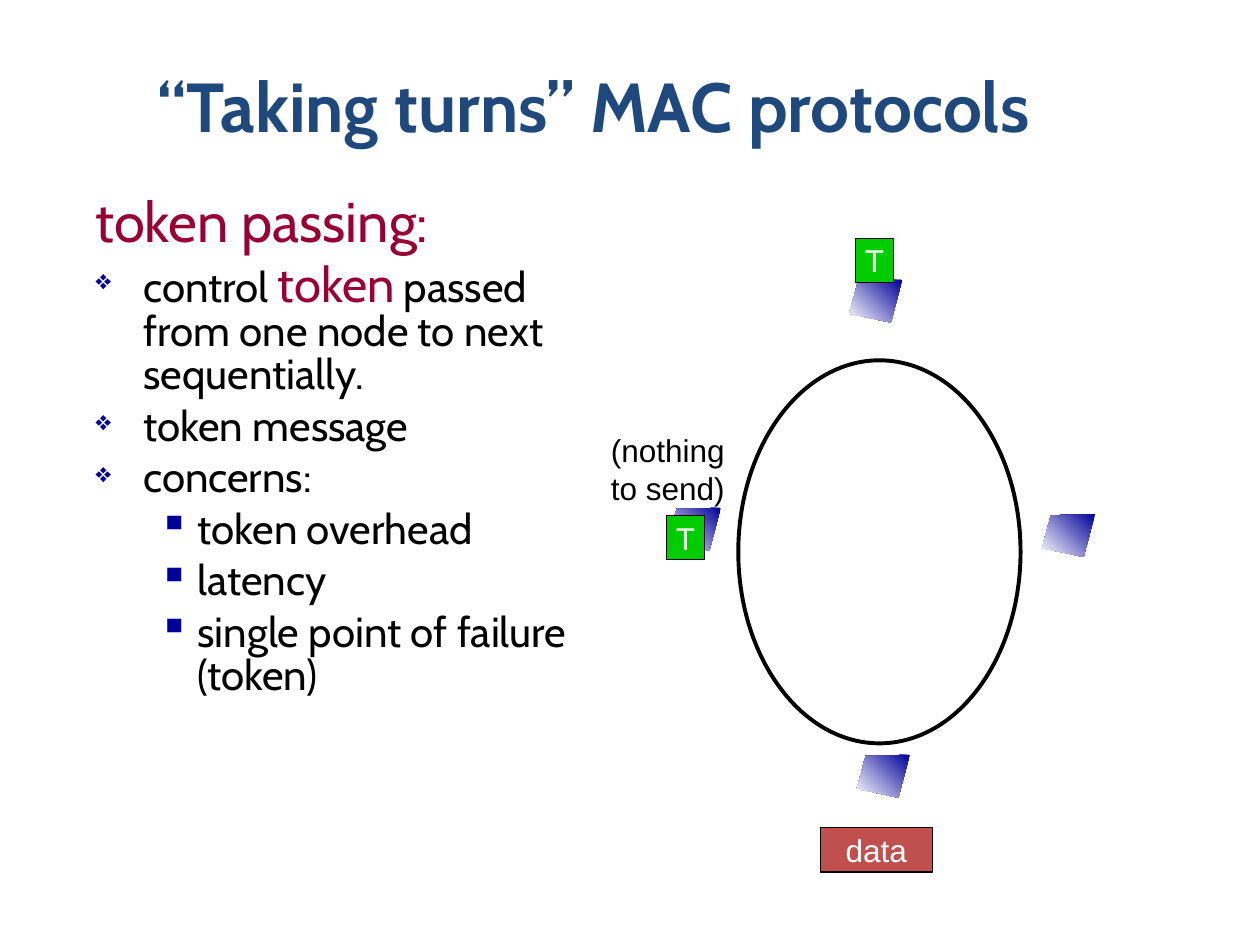
import lxml.etree
import pptx
import pptx.dml.color
import pptx.enum.shapes
import pptx.enum.text
import pptx.oxml.ns
import pptx.util

Inches = pptx.util.Inches
Pt = pptx.util.Pt
MSO_SHAPE = pptx.enum.shapes.MSO_SHAPE
PP_ALIGN = pptx.enum.text.PP_ALIGN
MSO_ANCHOR = pptx.enum.text.MSO_ANCHOR

COLORS = {
    "title": "1F497D",
    "accent": "990033",
    "bullet": "000099",
    "node": "000099",
    "token": "00CC00",
    "data": "C0504D",
    "black": "000000",
    "white": "FFFFFF",
}
NODE_CORNERS = [(0.42, 0), (0.07, 0.01), (0, 0.27), (0.33, 0.34)]
NODE_PLACES = [(8.27, 4.08), (5.3, 4.03), (6.74, 2.22), (6.8, 5.99)]

# Each level: left margin, hanging indent, bullet character, bullet size in percent
LEVELS = {
    "heading": (0.38, 0.38, None, None),
    "point": (0.38, 0.38, "❖", 65),
    "subpoint": (0.81, 0.31, "▪", 100),
}
# Each outline line: level, spans of (text, size, color)
OUTLINE = [
    ("heading", [("token passing:", 32, "accent")]),
    ("point", [("control ", 24, "black"), ("token", 28, "accent"),
               (" passed from one node to next sequentially.", 24, "black")]),
    ("point", [("token message", 24, "black")]),
    ("point", [("concerns:", 24, "black")]),
    ("subpoint", [("token overhead", 24, "black")]),
    ("subpoint", [("latency", 24, "black")]),
    ("subpoint", [("single point of failure (token)", 24, "black")]),
]


def rgb(name):
    return pptx.dml.color.RGBColor.from_string(COLORS[name])


def style_span(span, size, color, font="Arial", bold=False):
    span.font.name = font
    span.font.size = Pt(size)
    span.font.bold = bold
    span.font.color.rgb = rgb(color)


def add_text_box(page, left, top, width, height, wrap=True):
    box = page.shapes.add_textbox(Inches(left), Inches(top), Inches(width), Inches(height))
    box.text_frame.word_wrap = wrap
    return box


def add_title(page, text):
    frame = add_text_box(page, 0.46, 0.21, 8.5, 1.25).text_frame
    frame.vertical_anchor = MSO_ANCHOR.MIDDLE
    frame.text = text
    para = frame.paragraphs[0]
    para.alignment = PP_ALIGN.CENTER
    style_span(para.runs[0], 39.6, "title", "Cabin", True)


def set_level(para, level):
    """Give a paragraph the indents and the bullet of its outline level."""
    margin, hanging, character, percent = LEVELS[level]
    properties = para._p.get_or_add_pPr()
    properties.set("marL", str(Inches(margin)))
    properties.set("indent", str(-Inches(hanging)))
    if character:
        qn = pptx.oxml.ns.qn
        color = lxml.etree.SubElement(properties, qn("a:buClr"))
        lxml.etree.SubElement(color, qn("a:srgbClr"), val=COLORS["bullet"])
        lxml.etree.SubElement(properties, qn("a:buSzPct"), val=str(percent * 1000))
        lxml.etree.SubElement(properties, qn("a:buChar"), char=character)


def add_outline(page):
    frame = add_text_box(page, 0.66, 1.51, 4.11, 5.08).text_frame
    for index, (level, spans) in enumerate(OUTLINE):
        para = frame.add_paragraph() if index else frame.paragraphs[0]
        set_level(para, level)
        para.line_spacing = 0.85
        if index:
            para.space_before = Pt(5)
        for text, size, color in spans:
            span = para.add_run()
            span.text = text
            style_span(span, size, color, "Cabin")


def add_node(page, left, top):
    corners = [(Inches(left + x), Inches(top + y)) for x, y in NODE_CORNERS]
    builder = page.shapes.build_freeform(*corners[0])
    builder.add_line_segments(corners[1:], close=True)
    node = builder.convert_to_shape()
    node.shadow.inherit = False
    node.line.fill.background()
    node.fill.gradient()
    node.fill.gradient_angle = 225
    for stop, color, position in zip(node.fill.gradient_stops, ("node", "white"), (0, 1)):
        stop.color.rgb = rgb(color)
        stop.position = position


def add_ring(page):
    ring = page.shapes.add_shape(
        MSO_SHAPE.OVAL, Inches(5.86), Inches(2.86), Inches(2.24), Inches(3.04))
    ring.shadow.inherit = False
    ring.fill.background()
    ring.line.color.rgb = rgb("black")
    ring.line.width = Pt(2.25)


def add_label(page, text, left, top, width, color):
    label = page.shapes.add_shape(
        MSO_SHAPE.RECTANGLE, Inches(left), Inches(top), Inches(width), Inches(0.35))
    label.shadow.inherit = False
    label.fill.solid()
    label.fill.fore_color.rgb = rgb(color)
    label.line.color.rgb = rgb("black")
    label.line.width = Pt(0.75)
    frame = label.text_frame
    frame.word_wrap = False
    frame.vertical_anchor = MSO_ANCHOR.MIDDLE
    frame.text = text
    para = frame.paragraphs[0]
    para.alignment = PP_ALIGN.CENTER
    style_span(para.runs[0], 18, "white")


def add_remark(page, text):
    frame = add_text_box(page, 4.75, 3.37, 1.1, 0.7, wrap=False).text_frame
    frame.text = text
    for para in frame.paragraphs:
        style_span(para.runs[0], 18, "black")


def main():
    deck = pptx.Presentation()
    deck.slide_width = Inches(10)
    deck.slide_height = Inches(7.5)
    page = deck.slides.add_slide(deck.slide_layouts[6])
    for left, top in NODE_PLACES:
        add_node(page, left, top)
    add_outline(page)
    add_ring(page)
    add_label(page, "T", 6.79, 1.89, 0.3, "token")
    add_label(page, "data", 6.51, 6.57, 0.89, "data")
    add_remark(page, "(nothing\nto send)")
    add_label(page, "T", 5.29, 4.09, 0.3, "token")
    add_title(page, "“Taking turns” MAC protocols")
    deck.save("out.pptx")


if __name__ == "__main__":
    main()
